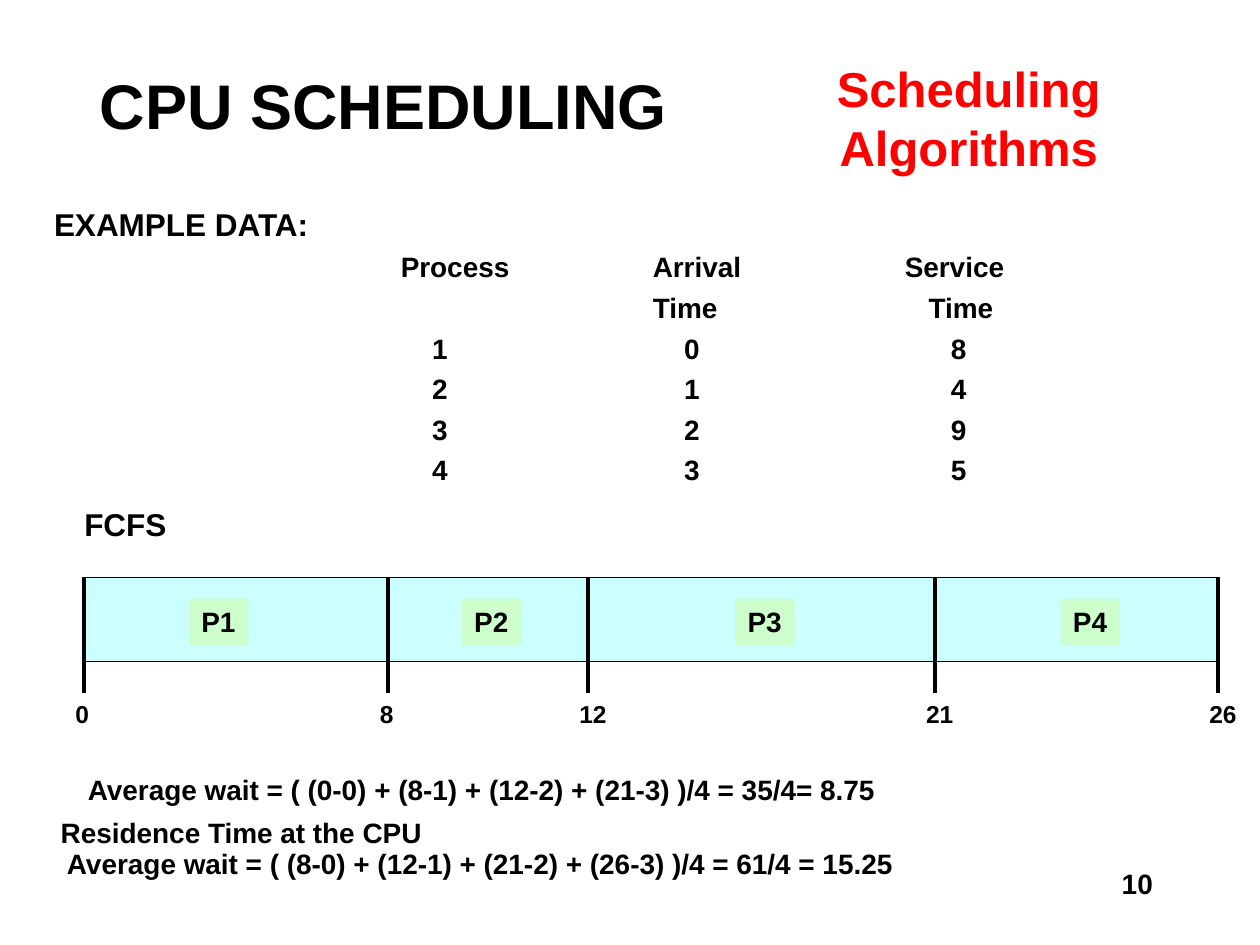
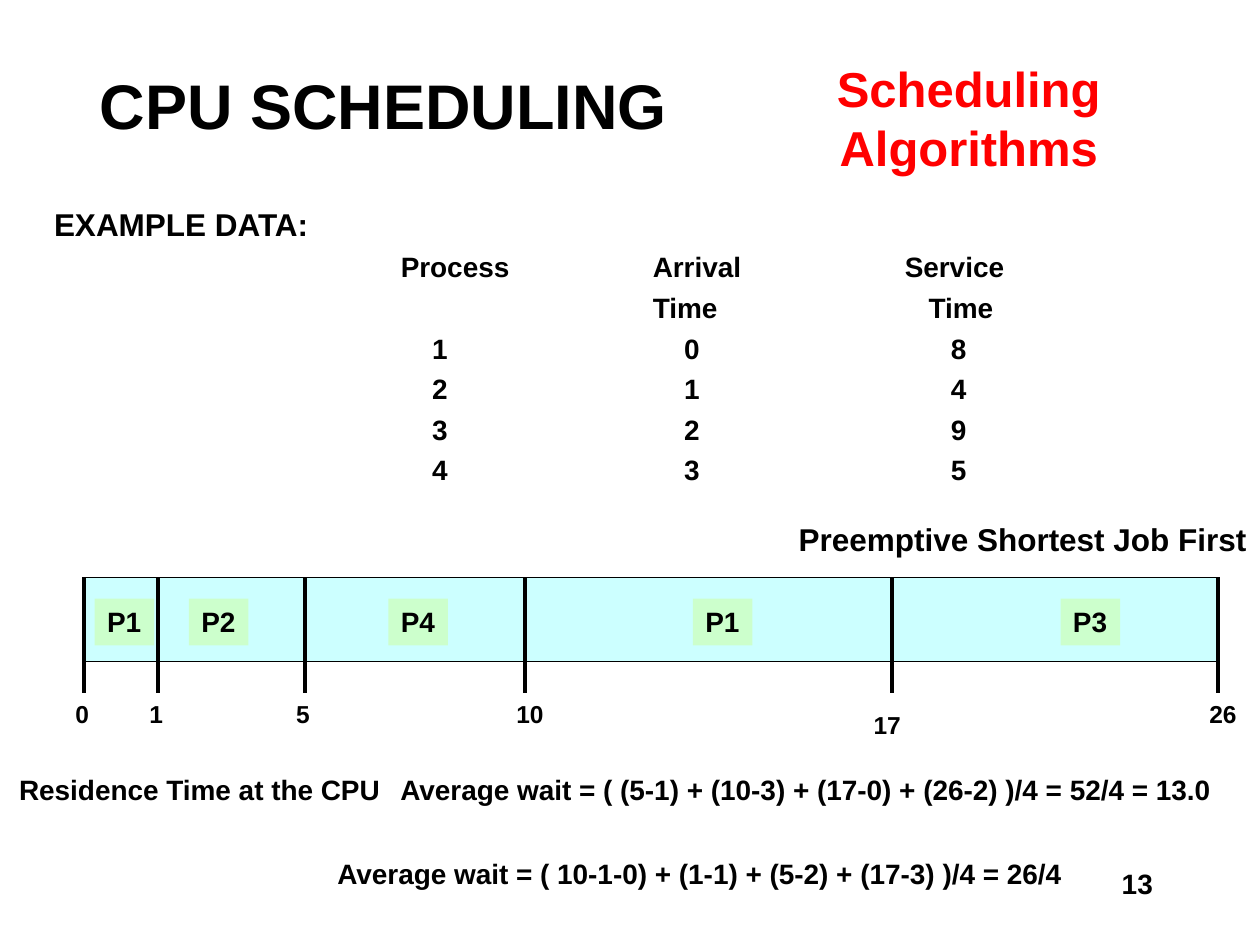
"""Build two CPU scheduling slides with example data and Gantt charts."""
from lxml.etree import SubElement
from pptx import Presentation
from pptx.dml.color import RGBColor
from pptx.enum.shapes import MSO_CONNECTOR, MSO_SHAPE
from pptx.enum.text import MSO_ANCHOR, MSO_AUTO_SIZE, PP_ALIGN
from pptx.oxml.ns import qn
from pptx.util import Cm, Pt

BLACK = RGBColor(0, 0, 0)
RED = RGBColor(255, 0, 0)
CYAN = RGBColor(0xCC, 0xFF, 0xFF)
GREEN = RGBColor(0xCC, 0xFF, 0xCC)
FONT = "Arial"

HEAD_TABS = (6.99, 12.07, 17.15)
UNIT_TABS = (12.07, 17.63)
VALUE_TABS = (7.62, 12.7, 18.08)
PROCESSES = [(1, 0, 8), (2, 1, 4), (3, 2, 9), (4, 3, 5)]
EXAMPLE = [
    (("Process", "Arrival", "Service"), HEAD_TABS),
    (("Time", "Time"), UNIT_TABS),
    *((row, VALUE_TABS) for row in PROCESSES),
]

BAR_X, BAR_Y, BAR_W, BAR_H = 1.69, 11.64, 22.86, 1.69
TICK_END = 13.97
TICK_SHIFT = (-0.42, 0)

SLIDES = [
    {
        "number": "10",
        "data_height": 5.92,
        "method": ("FCFS", 1.45, 10.06, 2.16),
        "ticks": [("0", 1.69), ("8", 7.83), ("12", 11.85), ("21", 18.84), ("26", 24.55)],
        "shifts": {},
        "jobs": [("P1", 3.81), ("P2", 9.31), ("P3", 14.82), ("P4", 21.38)],
        "residence": (0.84, 16.31),
        "waits": [
            ("Average wait = ( (0-0) + (8-1) + (12-2) + (21-3) )/4 = 35/4= 8.75", 1.52, 15.44, 16.62),
            ("Average wait = ( (8-0) + (12-1) + (21-2) + (26-3) )/4 = 61/4 = 15.25", 1.1, 16.94, 17.42),
        ],
    },
    {
        "number": "13",
        "data_height": 7.42,
        "method": ("Preemptive Shortest Job First", 15.85, 10.36, 9.55),
        "ticks": [("0", 1.69), ("1", 3.18), ("5", 6.14), ("10", 10.58), ("17", 17.99), ("26", 24.55)],
        "shifts": {"17": (-0.63, 0.21)},
        "jobs": [("P1", 1.91), ("P2", 3.81), ("P4", 7.83), ("P1", 13.97), ("P3", 21.38)],
        "residence": (0, 15.44),
        "waits": [
            ("Average wait = ( (5-1) + (10-3) + (17-0) + (26-2) )/4 = 52/4 = 13.0", 7.82, 15.44, 16.97),
            ("Average wait = ( 10-1-0) + (1-1) + (5-2) + (17-3) )/4 = 26/4", 6.55, 17.15, 15.34),
        ],
    },
]


def add_rect(s, x, y, w, h, fill, line=None):
    sp = s.shapes.add_shape(MSO_SHAPE.RECTANGLE, Cm(x), Cm(y), Cm(w), Cm(h))
    sp.shadow.inherit = False
    sp.fill.solid()
    sp.fill.fore_color.rgb = fill
    if line is None:
        sp.line.fill.background()
    else:
        sp.line.color.rgb = line
        sp.line.width = Pt(0.75)
    return sp


def add_run(p, text, size, color=BLACK):
    r = p.add_run()
    r.text = text
    r.font.name = FONT
    r.font.size = Pt(size)
    r.font.bold = True
    r.font.color.rgb = color


def add_text(s, text, x, y, w, h, size=16, color=BLACK, align=PP_ALIGN.LEFT,
             anchor=MSO_ANCHOR.TOP, wrap=True, fill=None):
    if fill is None:
        sp = s.shapes.add_textbox(Cm(x), Cm(y), Cm(w), Cm(h))
    else:
        sp = add_rect(s, x, y, w, h, fill)
    tf = sp.text_frame
    tf.word_wrap = wrap
    tf.auto_size = MSO_AUTO_SIZE.NONE if wrap else MSO_AUTO_SIZE.SHAPE_TO_FIT_TEXT
    tf.vertical_anchor = anchor
    for i, line in enumerate(text.split("\n")):
        p = tf.add_paragraph() if i else tf.paragraphs[0]
        p.alignment = align
        add_run(p, line, size, color)
    return tf


def add_example(s, height):
    tf = add_text(s, "EXAMPLE DATA:", 0.84, 4.01, 23.93, height, size=18)
    tf.paragraphs[0].space_before = Pt(4)
    for cells, stops in EXAMPLE:
        p = tf.add_paragraph()
        p.space_before = Pt(4)
        tabs = SubElement(p._p.get_or_add_pPr(), qn("a:tabLst"))
        for stop in stops:
            SubElement(tabs, qn("a:tab"), pos=str(Cm(stop)), algn="l")
        add_run(p, "".join(f"\t{cell}" for cell in cells), 16)


def add_tick(s, x):
    c = s.shapes.add_connector(MSO_CONNECTOR.STRAIGHT, Cm(x), Cm(BAR_Y), Cm(x), Cm(TICK_END))
    c.line.color.rgb = BLACK
    c.line.width = Pt(2.25)
    SubElement(c._element.spPr, qn("a:effectLst"))


def add_gantt(s, ticks, shifts, jobs):
    add_rect(s, BAR_X, BAR_Y, BAR_W, BAR_H, CYAN, BLACK)
    for time, x in ticks:
        add_tick(s, x)
        dx, dy = shifts.get(time, TICK_SHIFT)
        width = 0.51 + 0.27 * len(time)
        add_text(s, time, x + dx, TICK_END + dy, width, 0.84, size=14, wrap=False)
    for job, x in jobs:
        add_text(s, job, x, 12.07, 1.2, 0.94, wrap=False, fill=GREEN)


def add_frame(s, number):
    add_text(s, "CPU SCHEDULING", 1.48, 0.84, 12.5, 2.54, size=36,
             align=PP_ALIGN.CENTER, anchor=MSO_ANCHOR.MIDDLE)
    add_text(s, "Scheduling\nAlgorithms", 15.03, 1.06, 9, 2.61, size=28,
             color=RED, align=PP_ALIGN.CENTER)
    add_text(s, number, 18.21, 17.35, 5.28, 1.27, align=PP_ALIGN.RIGHT)


prs = Presentation()
prs.slide_width, prs.slide_height = Cm(25.4), Cm(19.05)
for data in SLIDES:
    s = prs.slides.add_slide(prs.slide_layouts[6])
    add_frame(s, data["number"])
    add_example(s, data["data_height"])
    add_gantt(s, data["ticks"], data["shifts"], data["jobs"])
    name, x, y, w = data["method"]
    add_text(s, name, x, y, w, 1.02, size=18, wrap=False)
    add_text(s, "Residence Time at the CPU", *data["residence"], 8.05, 0.94, align=PP_ALIGN.CENTER)
    for wait, x, y, w in data["waits"]:
        add_text(s, wait, x, y, w, 0.94, wrap=False)
prs.save("out.pptx")
